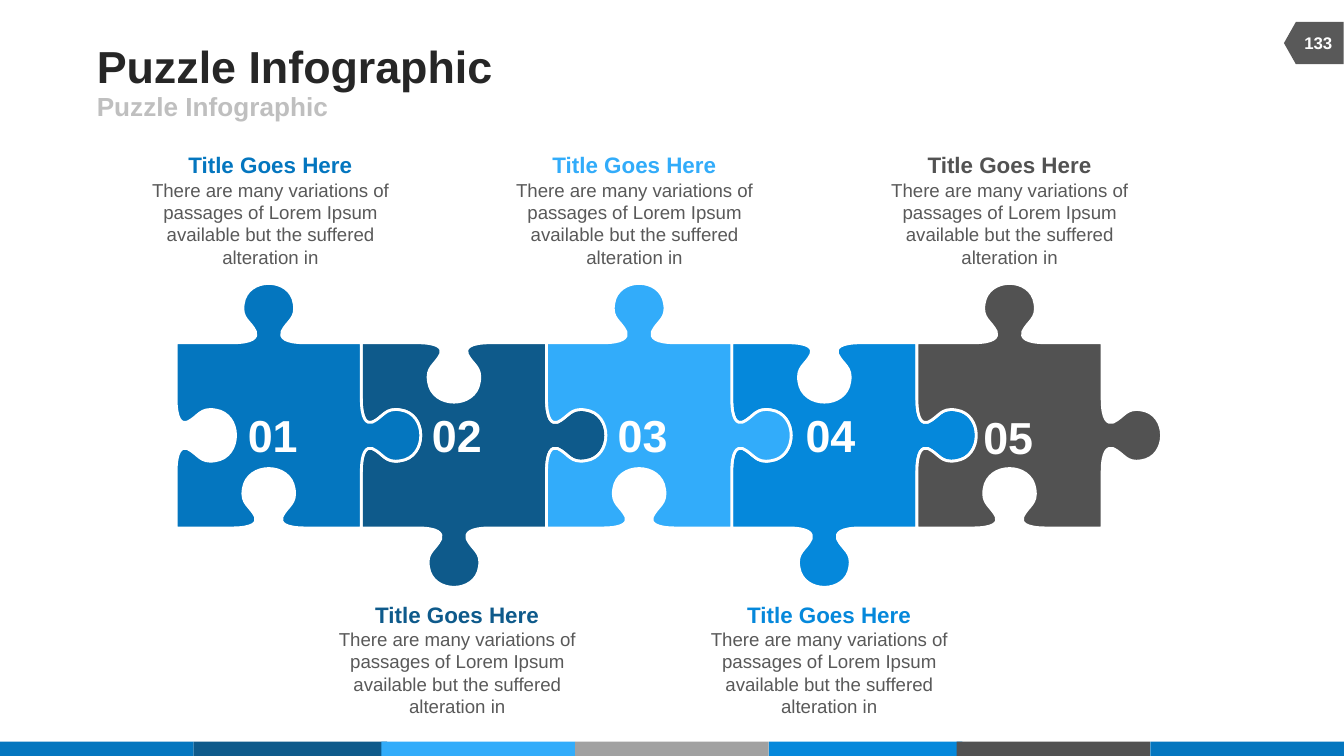
from pptx import Presentation
from pptx.dml.color import RGBColor
from pptx.enum.shapes import MSO_SHAPE as SHAPE
from pptx.enum.text import MSO_ANCHOR as ANCHOR, MSO_AUTO_SIZE as AUTO, PP_ALIGN as ALIGN
from pptx.oxml.ns import qn
from pptx.oxml.xmlchemy import OxmlElement
from pptx.util import Cm, Pt

COLORS = {
    "blue": "0476BF", "navy": "0E5A8B", "sky": "32ACFA", "azure": "0588DB",
    "dark": "525252", "silver": "A1A1A1", "badge": "595959", "body": "595959",
    "title": "262626", "subtitle": "BFBFBF", "white": "FFFFFF",
}
SIDE = 3.5
PUZZLE_LEFT, PUZZLE_TOP = 3.33, 6.48
# Cubic control points of half a knob: (offset from the middle of the edge, height)
HALF_KNOB = [(-0.69, 0), (-0.30, 0), (-0.21, 0.10), (-0.25, 0.21),
             (-0.35, 0.42), (-0.53, 0.45), (-0.48, 0.74), (-0.41, 1.25)]
BODY = ("There are many variations of passages of Lorem Ipsum "
        "available but the suffered alteration in")

# number, colour, number left, number top, callout left
PIECES = [
    ("01", "blue", 4.67, 7.7, 2.62),
    ("02", "navy", 8.15, 7.7, 6.15),
    ("03", "sky", 11.66, 7.7, 9.5),
    ("04", "azure", 15.21, 7.7, 13.18),
    ("05", "dark", 18.57, 7.75, 16.59),
]
STACKING = [3, 4, 1, 0, 2]
CALLOUT_TOP, CALLOUT_BOTTOM = 2.74, 11.23
FOOTER = [(0, "blue"), (3.66, "navy"), (7.21, "sky"), (10.87, "silver"),
          (14.53, "azure"), (18.08, "dark"), (21.74, "blue")]


def edge_profile():
    """Control points (distance along the edge, knob height), three to a curve."""
    knob = HALF_KNOB + [(-x, y) for x, y in reversed(HALF_KNOB)]
    knob = [(SIDE / 2 + x, y) for x, y in knob]
    return [(0, 0), *knob[:1] * 2, *knob, *knob[-1:] * 2, (SIDE, 0)]


def piece_outline(left, direction):
    """Knobs of the side edges point right; the others up (-1) or down (1)."""
    profile = edge_profile()
    across = [(left + a, PUZZLE_TOP + direction * h) for a, h in profile]
    down = [(left + h, PUZZLE_TOP + a) for a, h in profile]
    right = [(x + SIDE, y) for x, y in down]
    bottom = [(x, y + SIDE) for x, y in across]
    return across + right[1:] + bottom[-2::-1] + down[-2::-1]


class Deck:
    font = "Arial"

    def __init__(self, slide):
        self.s = slide

    def color(self, name):
        return RGBColor.from_string(COLORS[name])

    def paint(self, sp, fill, line=None):
        sp.shadow.inherit = False
        sp.fill.solid()
        sp.fill.fore_color.rgb = self.color(fill)
        if line:
            sp.line.color.rgb = self.color(line)
            sp.line.width = Pt(1.5)
        else:
            sp.line.fill.background()

    def shape(self, kind, box, fill, rotation=0):
        sp = self.s.shapes.add_shape(kind, *map(Cm, box))
        sp.rotation = rotation
        self.paint(sp, fill)

    def curved_outline(self, points, fill, line):
        """Joins each three line segments of a freeform into one cubic curve."""
        start, *rest = [(Cm(x), Cm(y)) for x, y in points]
        builder = self.s.shapes.build_freeform(*start)
        builder.add_line_segments(rest, close=True)
        sp = builder.convert_to_shape()
        segments = list(sp.element.iter(qn("a:lnTo")))
        for i in range(0, len(segments), 3):
            curve = OxmlElement("a:cubicBezTo")
            segments[i].addprevious(curve)
            for segment in segments[i:i + 3]:
                curve.append(segment[0])
                segment.getparent().remove(segment)
        self.paint(sp, fill, line)

    def text(self, box, lines, align=ALIGN.CENTER, anchor=ANCHOR.TOP,
             wrap=True, inset=True, grow=False, before=0):
        """Each line is (text, size, colour, bold) and makes one paragraph."""
        tf = self.s.shapes.add_textbox(*map(Cm, box)).text_frame
        tf.word_wrap = wrap
        tf.vertical_anchor = anchor
        tf.auto_size = AUTO.SHAPE_TO_FIT_TEXT if grow else AUTO.NONE
        if not inset:
            tf.margin_left = tf.margin_right = tf.margin_top = tf.margin_bottom = 0
        for i, (words, size, color, bold) in enumerate(lines):
            p = tf.add_paragraph() if i else tf.paragraphs[0]
            p.text = words
            p.alignment = align
            p.space_before = Pt(before)
            font = p.runs[0].font
            font.name, font.size, font.bold = self.font, Pt(size), bold
            font.color.rgb = self.color(color)


def main():
    prs = Presentation()
    prs.slide_width, prs.slide_height = Cm(25.4), Cm(14.29)
    deck = Deck(prs.slides.add_slide(prs.slide_layouts[6]))

    for left, color in FOOTER:
        deck.shape(SHAPE.RECTANGLE, (left, 14.02, 3.66, 0.27), color)
    deck.shape(SHAPE.FLOWCHART_OFFPAGE_CONNECTOR, (24.43, 0.25, 0.8, 1.13), "badge", 90)

    heading = dict(align=ALIGN.LEFT, anchor=ANCHOR.MIDDLE, wrap=False, inset=False)
    deck.text((1.83, 0.74, 15.67, 0.99),
              [("Puzzle Infographic", 24, "title", True)], **heading)
    deck.text((1.83, 1.73, 11.43, 0.56),
              [("Puzzle Infographic", 14, "subtitle", True)], before=2.8, **heading)
    deck.text((24.38, 0.43, 1.07, 0.76), [("133", 9, "white", True)], anchor=ANCHOR.MIDDLE)

    for i in STACKING:
        direction = 1 if i % 2 else -1
        deck.curved_outline(piece_outline(PUZZLE_LEFT + i * SIDE, direction),
                            PIECES[i][1], "white")

    for i, (number, color, left, top, callout_left) in enumerate(PIECES):
        deck.text((left, top, 0.97, 1.02), [(number, 24, "white", True)],
                  anchor=ANCHOR.BOTTOM, wrap=False, inset=False, grow=True, before=4)
        callout_top = CALLOUT_BOTTOM if i % 2 else CALLOUT_TOP
        deck.text((callout_left, callout_top, 4.98, 2.49),
                  [("Title Goes Here", 12, color, True), (BODY, 10, "body", False)], grow=True)

    prs.save("out.pptx")


if __name__ == "__main__":
    main()
